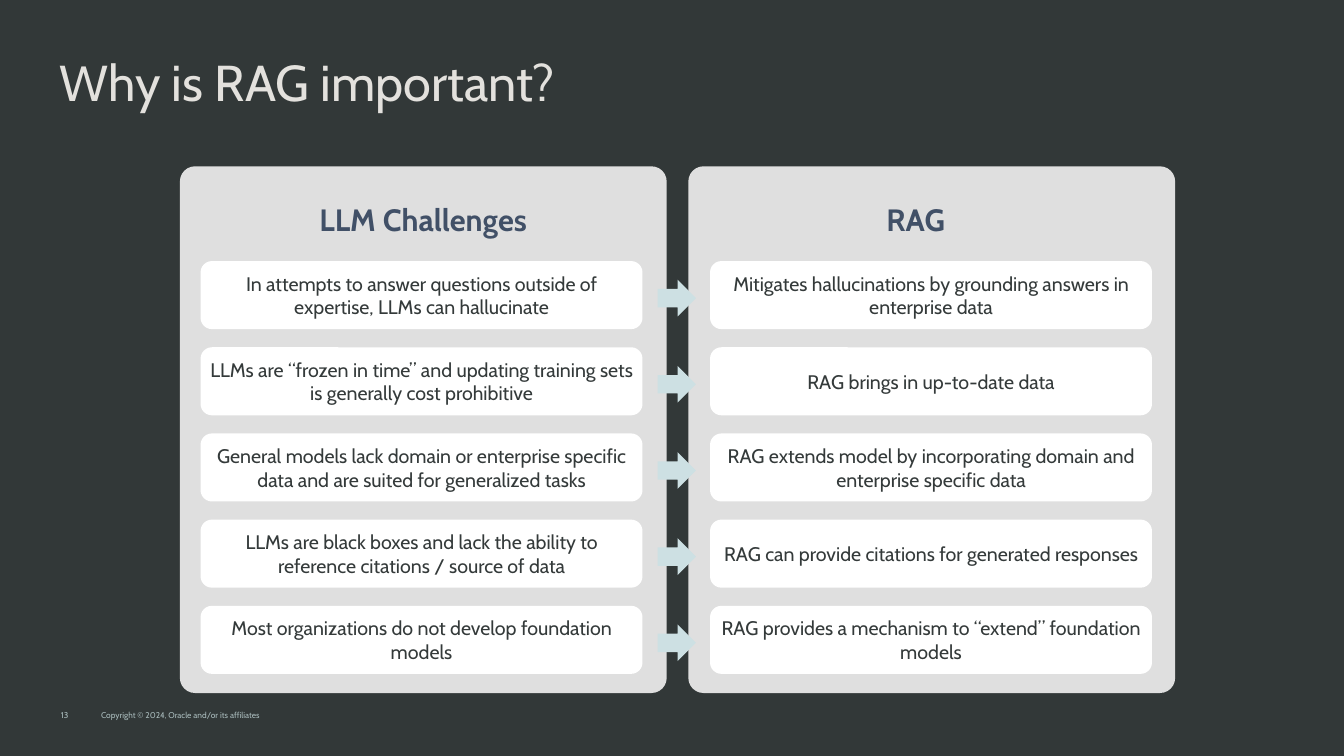
from pptx import Presentation
from pptx.dml.color import RGBColor
from pptx.enum.shapes import MSO_SHAPE
from pptx.enum.text import MSO_ANCHOR, MSO_AUTO_SIZE, PP_ALIGN
from pptx.util import Pt

EMU_PER_PX = 9144
COLORS = {
    "background": "323838",
    "panel": "DFDFDF",
    "card": "FFFFFF",
    "arrow": "CDE0E3",
    "body": "343A3A",
    "heading": "415067",
    "title": "E3E1DD",
    "footer": "A9BBBC",
}
CENTERED = {"alignment": PP_ALIGN.CENTER, "space_after": Pt(12)}
PANEL_TOP, PANEL_WIDTH, PANEL_HEIGHT = 330, 966, 1045
CARD_TOP, CARD_WIDTH, CARD_HEIGHT = 518, 877, 135
ARROW_LEFT, ARROW_TOP, ARROW_WIDTH, ARROW_HEIGHT = 1305, 555, 76, 73
ROW_PITCH = 171

COLUMNS = [
    {"heading": "LLM Challenges", "heading_left": 357, "panel_left": 357, "card_left": 398},
    {"heading": "RAG", "heading_left": 1334, "panel_left": 1366, "card_left": 1409},
]
ROWS = [
    ("In attempts to answer questions outside of expertise, LLMs can hallucinate",
     "Mitigates hallucinations by grounding answers in enterprise data"),
    ("LLMs are “frozen in time” and updating training sets is generally cost prohibitive",
     "RAG brings in up-to-date data"),
    ("General models lack domain or enterprise specific data and are suited for generalized tasks",
     "RAG extends model by incorporating domain and enterprise specific data"),
    ("LLMs are black boxes and lack the ability to reference citations / source of data",
     "RAG can provide citations for generated responses"),
    ("Most organizations do not develop foundation models",
     "RAG provides a mechanism to “extend” foundation models"),
]


def px(length):
    return length * EMU_PER_PX


def apply(target, values):
    for attribute, value in values.items():
        setattr(target, attribute, value)


class SlideBuilder:
    font_name = "Cabin"

    def __init__(self, slide):
        self.slide = slide

    def background(self, color):
        fill = self.slide.background.fill
        fill.solid()
        fill.fore_color.rgb = RGBColor.from_string(COLORS[color])

    def fill_text(self, frame, text, size, color, paragraph_format, bold=False):
        frame.word_wrap = True
        paragraph = frame.paragraphs[0]
        apply(paragraph, paragraph_format)
        run = paragraph.add_run()
        run.text = text
        apply(run.font, {"name": self.font_name, "size": Pt(size), "bold": bold})
        run.font.color.rgb = RGBColor.from_string(COLORS[color])

    def shape(self, preset, box, color, corner=None):
        shape = self.slide.shapes.add_shape(preset, *map(px, box))
        shape.shadow.inherit = False
        shape.fill.solid()
        shape.fill.fore_color.rgb = RGBColor.from_string(COLORS[color])
        shape.line.fill.background()
        if corner is not None:
            shape.adjustments[0] = corner
        return shape

    def panel(self, box):
        self.shape(MSO_SHAPE.ROUNDED_RECTANGLE, box, "panel", 0.031)

    def card(self, box, text):
        frame = self.shape(MSO_SHAPE.ROUNDED_RECTANGLE, box, "card").text_frame
        frame.vertical_anchor = MSO_ANCHOR.MIDDLE
        self.fill_text(frame, text, 28, "body", CENTERED)

    def arrow(self, box):
        self.shape(MSO_SHAPE.RIGHT_ARROW, box, "arrow")

    def text(self, box, text, size, color, paragraph_format=None, frame_format=None, bold=False):
        frame = self.slide.shapes.add_textbox(*map(px, box)).text_frame
        apply(frame, frame_format or {})
        self.fill_text(frame, text, size, color, paragraph_format or {}, bold)


def main():
    presentation = Presentation()
    apply(presentation, {"slide_width": px(2667), "slide_height": px(1500)})
    builder = SlideBuilder(presentation.slides.add_slide(presentation.slide_layouts[6]))
    builder.background("background")

    for column in COLUMNS:
        builder.panel((column["panel_left"], PANEL_TOP, PANEL_WIDTH, PANEL_HEIGHT))
        builder.text((column["heading_left"], 394, PANEL_WIDTH, 84), column["heading"], 44, "heading",
                     CENTERED, {"auto_size": MSO_AUTO_SIZE.SHAPE_TO_FIT_TEXT}, bold=True)

    for index, statements in enumerate(ROWS):
        offset = index * ROW_PITCH
        for column, statement in zip(COLUMNS, statements):
            builder.card((column["card_left"], CARD_TOP + offset, CARD_WIDTH, CARD_HEIGHT), statement)
        builder.arrow((ARROW_LEFT, ARROW_TOP + offset, ARROW_WIDTH, ARROW_HEIGHT))

    builder.text((118, 138, 2431, 80), "Why is RAG important?", 72, "title",
                 {"line_spacing": Pt(56)}, {"margin_left": 0})
    builder.text((111, 1405, 80, 80), "13", 12, "footer")
    builder.text((191, 1405, 1257, 80), "Copyright © 2024, Oracle and/or its affiliates", 12, "footer")
    presentation.save("out.pptx")


if __name__ == "__main__":
    main()
